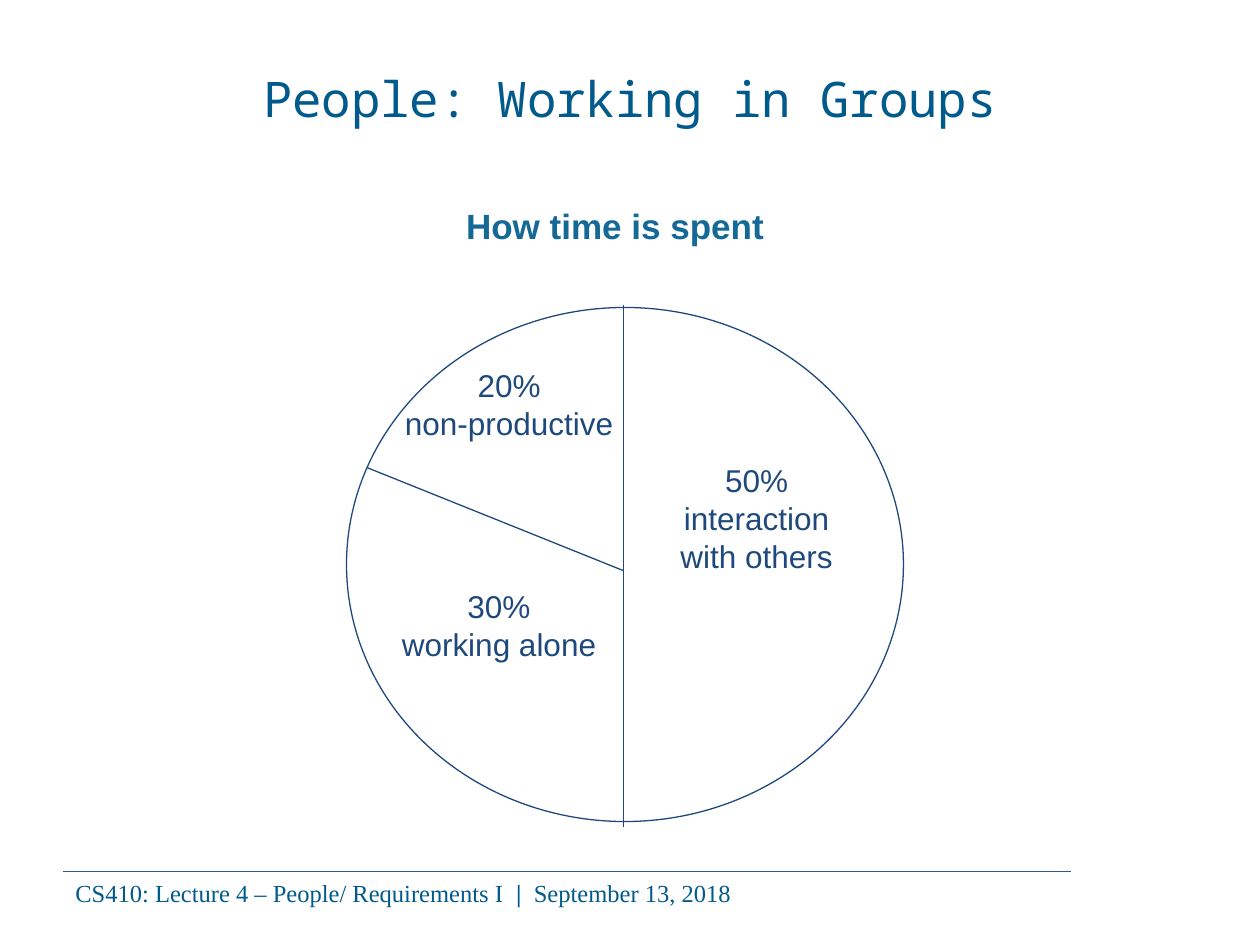
from dataclasses import dataclass

import pptx
import pptx.dml.color
import pptx.enum.shapes
import pptx.enum.text
import pptx.oxml
import pptx.oxml.ns
import pptx.util
from pptx.util import Inches

NAVY = "1F497D"
TEAL = "005A8B"
CENTER = pptx.enum.text.PP_ALIGN.CENTER
LEFT = pptx.enum.text.PP_ALIGN.LEFT


@dataclass
class Span:
    text: str
    size: float
    font: str
    color: str
    bold: bool = False


@dataclass
class Label:
    left: float
    top: float
    width: float
    height: float
    paragraphs: list[list[Span]]
    align: int = CENTER


@dataclass
class Line:
    start: tuple[float, float]
    end: tuple[float, float]
    color: str = NAVY
    weight: float = 0.75


def rgb(value: str) -> pptx.dml.color.RGBColor:
    return pptx.dml.color.RGBColor.from_string(value)


def write_span(para, span: Span) -> None:
    run = para.add_run()
    run.text = span.text
    run.font.size = pptx.util.Pt(span.size)
    run.font.name = span.font
    run.font.bold = span.bold
    run.font.color.rgb = rgb(span.color)


def draw_label(page, label: Label) -> None:
    box = page.shapes.add_textbox(
        Inches(label.left), Inches(label.top), Inches(label.width), Inches(label.height)
    )
    frame = box.text_frame
    frame.word_wrap = True
    for index, spans in enumerate(label.paragraphs):
        para = frame.add_paragraph() if index else frame.paragraphs[0]
        para.alignment = label.align
        for span in spans:
            write_span(para, span)


def draw_line(page, line: Line) -> None:
    connector = page.shapes.add_connector(
        pptx.enum.shapes.MSO_CONNECTOR.STRAIGHT,
        *(Inches(value) for value in line.start + line.end),
    )
    connector.line.color.rgb = rgb(line.color)
    connector.line.width = pptx.util.Pt(line.weight)
    properties = connector._element.spPr
    properties.append(pptx.oxml.parse_xml(f"<a:effectLst {pptx.oxml.ns.nsdecls('a')}/>"))


def draw_title(page, span: Span) -> None:
    title = page.shapes.title
    title.left, title.top = Inches(0.5), Inches(0.3)
    title.width, title.height = Inches(9), Inches(0.95)
    title.text_frame.vertical_anchor = pptx.enum.text.MSO_ANCHOR.MIDDLE
    para = title.text_frame.paragraphs[0]
    para.alignment = CENTER
    write_span(para, span)


def draw_pie_outline(page) -> None:
    circle = page.shapes.add_shape(
        pptx.enum.shapes.MSO_SHAPE.OVAL,
        Inches(2.75), Inches(2.44), Inches(4.42), Inches(4.08),
    )
    circle.shadow.inherit = False
    circle.fill.background()
    circle.line.color.rgb = rgb(NAVY)
    circle.line.width = pptx.util.Pt(0.75)


def share(left: float, top: float, width: float, height: float, *lines: str) -> Label:
    return Label(left, top, width, height, [[Span(text, 18, "Arial", NAVY)] for text in lines])


def footer_span(text: str, bold: bool = False) -> Span:
    return Span(text, 14, "Times New Roman", TEAL, bold)


LINES = [
    Line((0.5, 6.92), (8.5, 6.92), "2D588D", 0.5),
    Line((4.95, 2.42), (4.95, 6.56)),
    Line((4.95, 4.53), (2.91, 3.71)),
]

LABELS = [
    Label(0.5, 6.92, 8.17, 0.34, [[
        footer_span("CS410: Lecture 4 – People/ Requirements I  "),
        footer_span("|  ", True),
        footer_span("September 13, 2018"),
    ]], LEFT),
    share(5.17, 3.61, 1.67, 1, "50%", "interaction with others"),
    share(2.5, 2.86, 3.08, 0.7, "20%", "non-productive"),
    share(2.5, 4.61, 2.92, 0.7, "30%", "working alone"),
    Label(3.6, 1.57, 2.71, 0.44, [[
        Span("How time is spent", 20, "Arial", "156997", True),
    ]], LEFT),
]


def main() -> None:
    deck = pptx.Presentation()
    deck.slide_width, deck.slide_height = Inches(10), Inches(7.5)
    page = deck.slides.add_slide(deck.slide_layouts.get_by_name("Title Only"))
    draw_title(page, Span("People: Working in Groups", 28, "Noto Sans Mono", TEAL))
    draw_pie_outline(page)
    for line in LINES:
        draw_line(page, line)
    for label in LABELS:
        draw_label(page, label)
    deck.save("out.pptx")


if __name__ == "__main__":
    main()
